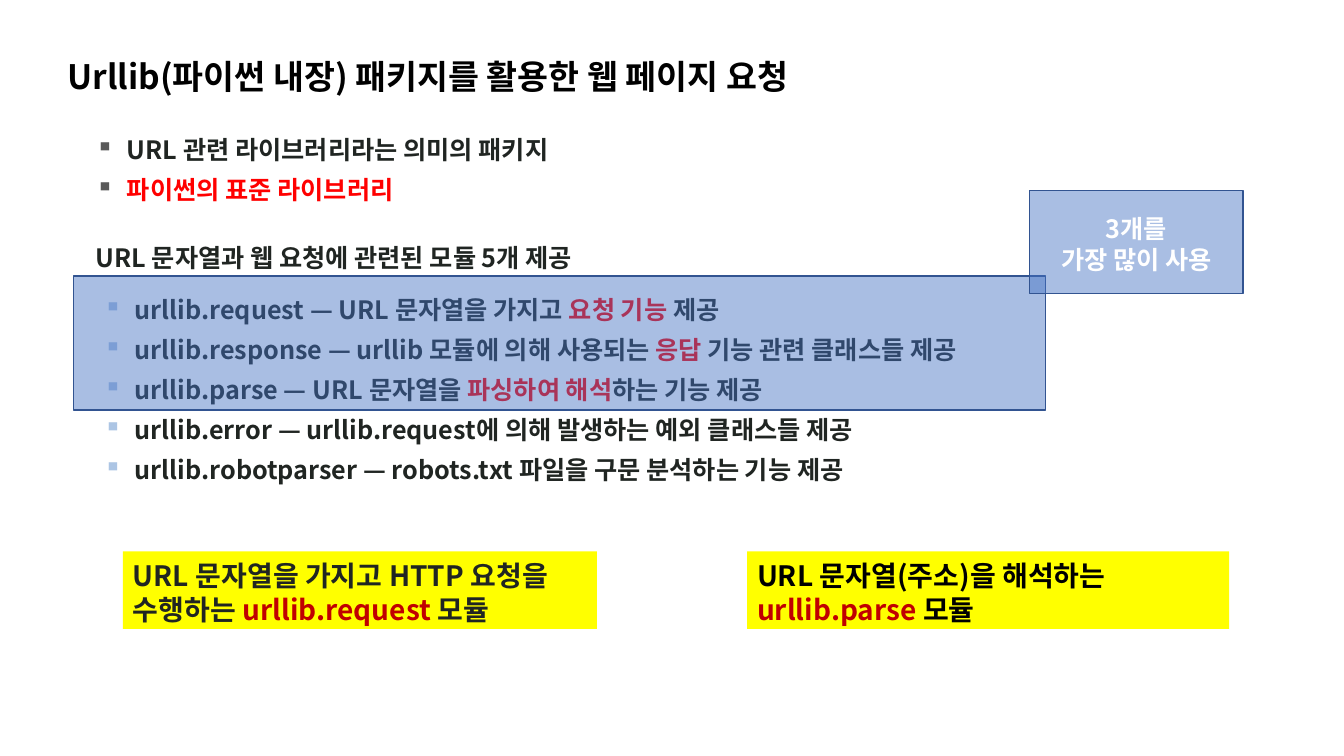
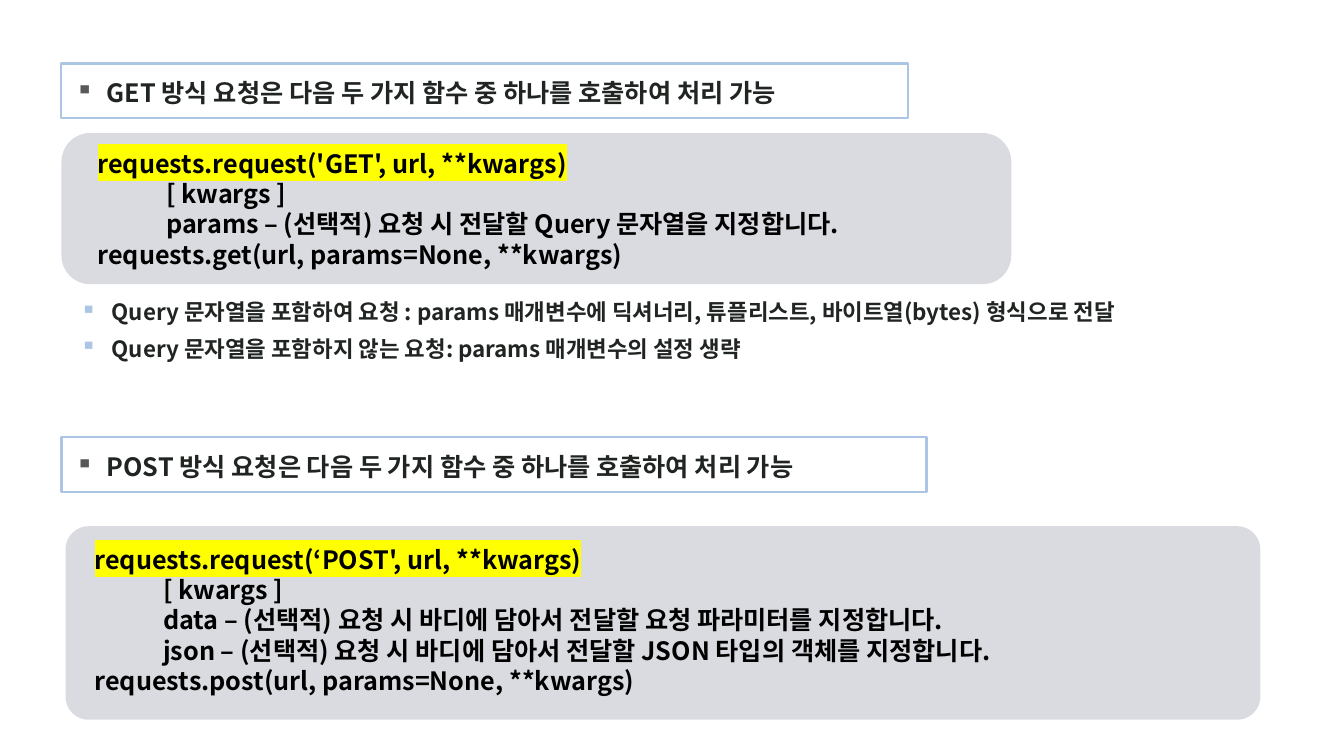
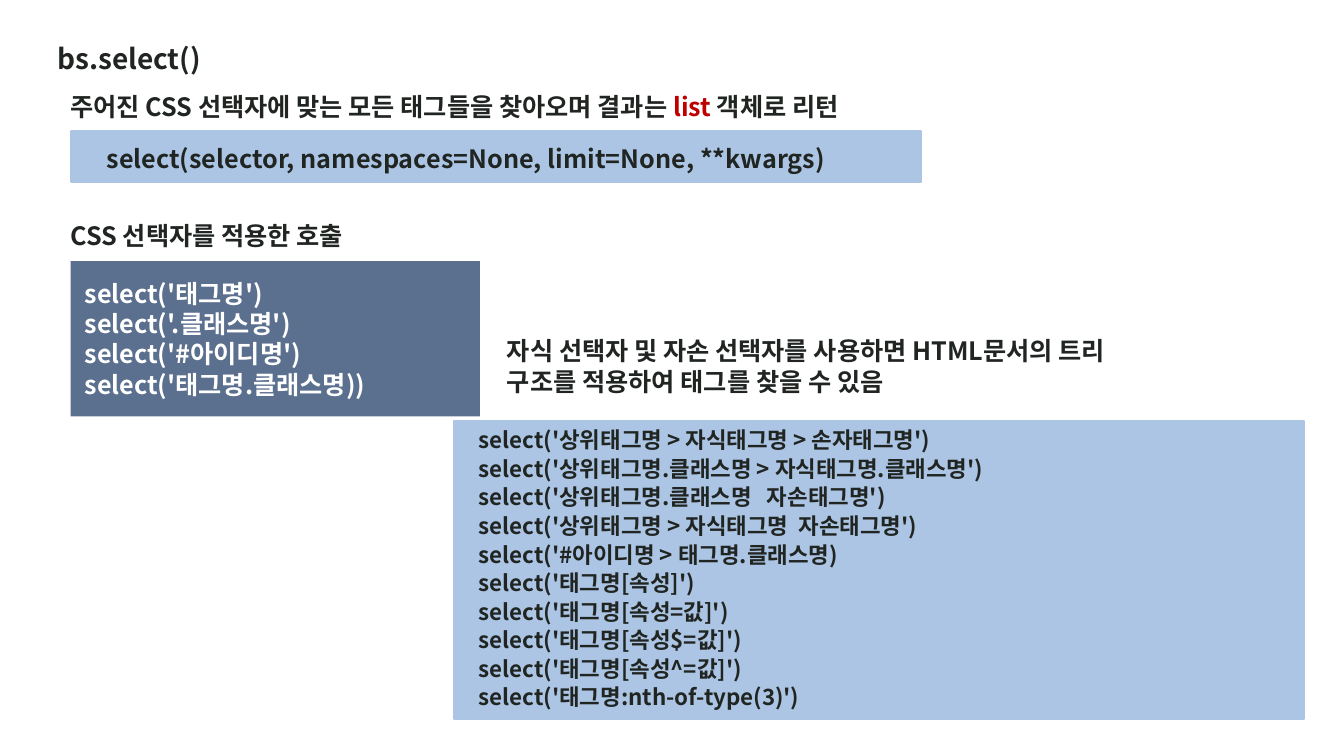
from lxml import etree
from pptx import Presentation
from pptx.dml.color import RGBColor
from pptx.enum.shapes import MSO_SHAPE
from pptx.enum.text import MSO_ANCHOR, PP_ALIGN
from pptx.oxml.ns import qn
from pptx.util import Pt

RECT = MSO_SHAPE.RECTANGLE
ROUND = MSO_SHAPE.ROUNDED_RECTANGLE
TOP, MIDDLE = MSO_ANCHOR.TOP, MSO_ANCHOR.MIDDLE
LEFT, CENTER = PP_ALIGN.LEFT, PP_ALIGN.CENTER

PX = 9144
FONT = "Noto Sans CJK KR"
LEADING = 1.2
INK, BLACK, WHITE = "202522", "000000", "FFFFFF"
RED, DARK_RED, YELLOW = "FF0000", "C00000", "FFFF00"
SKY, GREY, SLATE, DIM = "ACC5E4", "DADBE0", "5B6F8E", "595959"
BLUE, NAVY = "4472C4", "325491"


def rgb(color):
    return RGBColor.from_string(color)


def px(*lengths):
    return [length * PX for length in lengths]


def add_bullet(paragraph, color):
    props = paragraph._p.get_or_add_pPr()
    props.set("marL", str(31 * PX))
    props.set("indent", str(-31 * PX))
    bullet_color = etree.SubElement(props, qn("a:buClr"))
    etree.SubElement(bullet_color, qn("a:srgbClr"), val=color)
    etree.SubElement(props, qn("a:buChar"), char="▪")


def highlight(run, color):
    mark = etree.SubElement(run._r.get_or_add_rPr(), qn("a:highlight"))
    etree.SubElement(mark, qn("a:srgbClr"), val=color)


def write(frame, lines, size=18, color=INK, gap=0, bullet=None, spacing=1,
          align=LEFT, anchor=TOP):
    frame.word_wrap = True
    frame.vertical_anchor = anchor
    frame.margin_left, frame.margin_top = px(10, 7)
    frame.margin_right, frame.margin_bottom = px(10, 3)
    for index, line in enumerate(lines):
        paragraph = frame.paragraphs[0] if index == 0 else frame.add_paragraph()
        if bullet:
            add_bullet(paragraph, bullet)
        paragraph.alignment = align
        paragraph.line_spacing = Pt(round(size * LEADING * spacing, 1))
        if index and gap:
            paragraph.space_before = Pt(gap)
        font = paragraph.font
        font.size, font.bold, font.name = Pt(size), True, FONT
        font.color.rgb = rgb(color)
        etree.SubElement(font._element, qn("a:ea"), typeface=FONT)
        for part in [line] if isinstance(line, str) else line:
            text, accent = (part, None) if isinstance(part, str) else part
            run = paragraph.add_run()
            run.text = text
            if accent:
                run.font.color.rgb = rgb(accent)


def add_text(slide, box, lines, **style):
    frame = slide.shapes.add_textbox(*px(*box)).text_frame
    write(frame, lines, **style)
    return frame


def add_panel(slide, box, fill, line=None, width=1.5, kind=RECT, opacity=None):
    panel = slide.shapes.add_shape(kind, *px(*box))
    panel.shadow.inherit = False
    panel.fill.solid()
    panel.fill.fore_color.rgb = rgb(fill)
    if opacity:
        fill_color = panel._element.spPr.find(qn("a:solidFill"))[0]
        etree.SubElement(fill_color, qn("a:alpha"), val=str(opacity * 1000))
    if line:
        panel.line.color.rgb = rgb(line)
        panel.line.width = Pt(width)
    else:
        panel.line.fill.background()
    return panel


def add_overlay(slide, box):
    return add_panel(slide, box, BLUE, NAVY, 1, opacity=46)


def add_callout(slide, box, lines, color):
    callout = add_panel(slide, box, YELLOW)
    write(callout.text_frame, lines, size=20, color=color, anchor=MIDDLE)


def add_method_heading(slide, box, text):
    left, top, width, height = box
    add_panel(slide, box, WHITE, SKY)
    add_text(slide, (left + 4, top + 7, width - 19, height - 14), [text],
             bullet=DIM)


def add_signature_panel(slide, box, inset, lines):
    left, top, width, height = box
    panel = add_panel(slide, box, GREY, kind=ROUND)
    panel.adjustments[0] = round(28 / height * 0.8 if height > 150 else 0.19, 2)
    dx, dy = inset
    frame = add_text(slide, (left + dx, top + dy, width - 2 * dx, height - 2 * dy),
                     lines, color=BLACK)
    highlight(frame.paragraphs[0].runs[0], YELLOW)
    for paragraph in frame.paragraphs[1:-1]:
        paragraph._p.get_or_add_pPr().set("marL", str(68 * PX))


def add_code_panel(slide, box, inset, fill, lines, line=None, **style):
    left, top, width, height = box
    add_panel(slide, box, fill, line)
    dx, dy = inset
    add_text(slide, (left + dx, top + dy, width - dx, height - 2 * dy), lines,
             **style)


def build_urllib(slide):
    add_text(slide, (57, 48, 1100, 50),
             ["Urllib(파이썬 내장) 패키지를 활용한 웹 페이지 요청"],
             size=24, color=BLACK)
    add_text(slide, (85, 126, 545, 80),
             ["URL 관련 라이브러리라는 의미의 패키지",
              [("파이썬의 표준 라이브러리", RED)]],
             gap=7, bullet=DIM)
    add_text(slide, (93, 285, 955, 201), [
        ["urllib.request — URL 문자열을 가지고 ", ("요청 기능 ", RED), "제공"],
        ["urllib.response — urllib 모듈에 의해 사용되는 ", ("응답", RED),
         " 기능 관련 클래스들 제공"],
        ["urllib.parse — URL 문자열을 ", ("파싱하여 해석", RED), "하는 기능 제공"],
        "urllib.error — urllib.request에 의해 발생하는 예외 클래스들 제공",
        "urllib.robotparser — robots.txt 파일을 구문 분석하는 기능 제공",
    ], gap=7, bullet=SKY)
    add_text(slide, (85, 233, 834, 40),
             ["URL 문자열과 웹 요청에 관련된 모듈 5개 제공"])
    add_callout(slide, (122, 547, 470, 77),
                [["URL 문자열을 가지고 HTTP 요청을 수행하는 ",
                  ("urllib.request ", DARK_RED), "모듈"]], INK)
    add_callout(slide, (741, 547, 478, 77),
                ["URL 문자열(주소)을 해석하는",
                 [("urllib.parse ", DARK_RED), "모듈"]], BLACK)
    add_overlay(slide, (73, 274, 964, 133))
    most_used = add_overlay(slide, (1021, 189, 212, 102))
    write(most_used.text_frame, ["3개를", "가장 많이 사용"], color=WHITE,
          align=CENTER, anchor=MIDDLE)


def build_requests(slide):
    add_method_heading(slide, (61, 63, 840, 54),
                       "GET 방식 요청은 다음 두 가지 함수 중 하나를 호출하여 처리 가능")
    add_signature_panel(slide, (61, 132, 942, 150), (26, 8), [
        "requests.request('GET', url, **kwargs)",
        "[ kwargs ]",
        "params – (선택적) 요청 시 전달할 Query 문자열을 지정합니다.",
        "requests.get(url, params=None, **kwargs)",
    ])
    add_text(slide, (70, 289, 1166, 74), [
        "Query 문자열을 포함하여 요청 : params 매개변수에 딕셔너리, 튜플리스트, "
        "바이트열(bytes) 형식으로 전달",
        "Query 문자열을 포함하지 않는 요청: params 매개변수의 설정 생략",
    ], size=16, gap=7, bullet=SKY)
    add_method_heading(slide, (61, 434, 858, 54),
                       "POST 방식 요청은 다음 두 가지 함수 중 하나를 호출하여 처리 가능")
    add_signature_panel(slide, (65, 522, 1185, 192), (19, 11), [
        "requests.request(‘POST', url, **kwargs)",
        "[ kwargs ]",
        "data – (선택적) 요청 시 바디에 담아서 전달할 요청 파라미터를 지정합니다.",
        "json – (선택적) 요청 시 바디에 담아서 전달할 JSON 타입의 객체를 지정합니다.",
        "requests.post(url, params=None, **kwargs)",
    ])


def build_select(slide):
    add_text(slide, (47, 34, 882, 44), ["bs.select()"], size=20)
    add_code_panel(slide, (71, 130, 843, 51), (25, 5), SKY,
                   ["select(selector, namespaces=None, limit=None, **kwargs)"],
                   line=SKY)
    add_code_panel(slide, (70, 259, 406, 154), (4, 10), SLATE, [
        "select('태그명')",
        "select('.클래스명')",
        "select('#아이디명')",
        "select('태그명.클래스명))",
    ], color=WHITE)
    add_text(slide, (60, 84, 924, 40),
             [["주어진 CSS 선택자에 맞는 모든 태그들을 찾아오며 결과는 ",
               ("list ", DARK_RED), "객체로 리턴"]])
    add_text(slide, (60, 212, 854, 40), ["CSS 선택자를 적용한 호출"])
    add_code_panel(slide, (450, 418, 843, 295), (15, 6), SKY, [
        "select('상위태그명 > 자식태그명 > 손자태그명')",
        "select('상위태그명.클래스명 > 자식태그명.클래스명')",
        "select('상위태그명.클래스명   자손태그명')",
        "select('상위태그명 > 자식태그명  자손태그명')",
        "select('#아이디명 > 태그명.클래스명)",
        "select('태그명[속성]')",
        "select('태그명[속성=값]')",
        "select('태그명[속성$=값]')",
        "select('태그명[속성^=값]')",
        "select('태그명:nth-of-type(3)')",
    ], line=SKY, size=16, gap=7, spacing=0.7)
    add_text(slide, (493, 326, 668, 71),
             ["자식 선택자 및 자손 선택자를 사용하면 HTML문서의 트리 구조를 "
              "적용하여 태그를 찾을 수 있음"])


def main():
    deck = Presentation()
    deck.slide_width, deck.slide_height = px(1333, 750)
    for build in (build_urllib, build_requests, build_select):
        build(deck.slides.add_slide(deck.slide_layouts[6]))
    deck.save("out.pptx")


if __name__ == "__main__":
    main()
